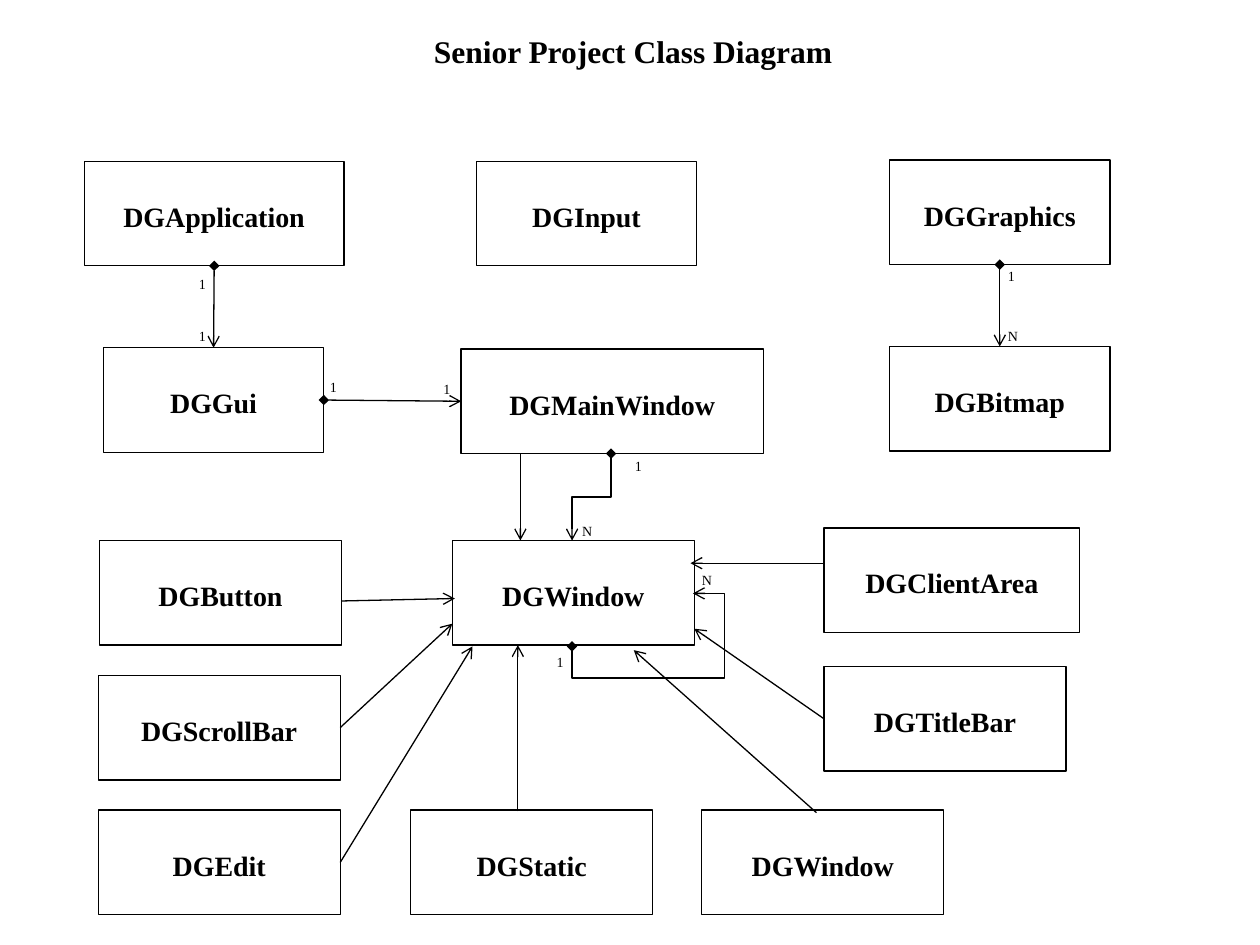
import dataclasses

import pptx
import pptx.dml.color
import pptx.enum.shapes
import pptx.enum.text
import pptx.oxml
import pptx.oxml.ns
import pptx.util
from lxml import etree
from pptx.util import Inches


@dataclasses.dataclass
class Theme:
    font: str = "Times New Roman"
    ink: pptx.dml.color.RGBColor = pptx.dml.color.RGBColor(0, 0, 0)
    paper: pptx.dml.color.RGBColor = pptx.dml.color.RGBColor(255, 255, 255)
    title: pptx.util.Pt = pptx.util.Pt(18)
    name: pptx.util.Pt = pptx.util.Pt(16)
    count: pptx.util.Pt = pptx.util.Pt(8)
    line: pptx.util.Pt = pptx.util.Pt(0.75)


theme = Theme()
qn = pptx.oxml.ns.qn
CONNECTOR = pptx.enum.shapes.MSO_CONNECTOR
ANCHOR = pptx.enum.text.MSO_ANCHOR


def write(tf, text, size, bold, wrap):
    tf.word_wrap = wrap
    tf.vertical_anchor = ANCHOR.MIDDLE
    p = tf.paragraphs[0]
    p.alignment = pptx.enum.text.PP_ALIGN.CENTER
    r = p.add_run()
    r.text = text
    r.font.name = theme.font
    r.font.size = size
    r.font.bold = bold
    r.font.color.rgb = theme.ink


def connect(kind, x1, y1, x2, y2, diamond=False):
    c = s.shapes.add_connector(kind, Inches(x1), Inches(y1), Inches(x2), Inches(y2))
    c.line.color.rgb = theme.ink
    c.line.width = theme.line
    spPr = c.element.spPr
    ln = spPr.find(qn("a:ln"))
    if diamond:
        etree.SubElement(ln, qn("a:headEnd"), type="diamond")
    etree.SubElement(ln, qn("a:tailEnd"), type="arrow")
    etree.SubElement(spPr, qn("a:effectLst"))
    return c


prs = pptx.Presentation()
prs.slide_width = Inches(10)
prs.slide_height = Inches(7.5)
s = prs.slides.add_slide(prs.slide_layouts[5])

title = s.shapes.title
title.left, title.top = Inches(3.31), Inches(0.2)
title.width, title.height = Inches(3.43), Inches(0.4)
write(title.text_frame, "Senior Project Class Diagram", theme.title, True, False)

box_height = 0.83
boxes = [
    ("application", "DGApplication", 0.67, 1.28, 2.06),
    ("input", "DGInput", 3.78, 1.28, 1.75),
    ("graphics", "DGGraphics", 7.06, 1.27, 1.75),
    ("gui", "DGGui", 0.82, 2.76, 1.75),
    ("main", "DGMainWindow", 3.66, 2.77, 2.4),
    ("bitmap", "DGBitmap", 7.06, 2.75, 1.75),
    ("window", "DGWindow", 3.59, 4.29, 1.92),
    ("button", "DGButton", 0.79, 4.29, 1.92),
    ("scroll", "DGScrollBar", 0.78, 5.36, 1.92),
    ("edit", "DGEdit", 0.78, 6.43, 1.92),
    ("static", "DGStatic", 3.26, 6.43, 1.92),
    ("child", "DGWindow", 5.57, 6.43, 1.92),
    ("titlebar", "DGTitleBar", 6.54, 5.29, 1.92),
    ("client", "DGClientArea", 6.54, 4.19, 2.03),
]
classes = {}
for key, name, x, y, w in boxes:
    sp = s.shapes.add_shape(
        pptx.enum.shapes.MSO_SHAPE.FLOWCHART_PROCESS,
        Inches(x), Inches(y), Inches(w), Inches(box_height),
    )
    sp.shadow.inherit = False
    sp.fill.solid()
    sp.fill.fore_color.rgb = theme.paper
    sp.line.color.rgb = theme.ink
    sp.line.width = theme.line
    tf = sp.text_frame
    tf.margin_top, tf.margin_bottom = Inches(0.09), Inches(0.05)
    write(tf, name, theme.name, True, True)
    classes[key] = sp

compositions = [
    ("application", 2, "gui", 0, (1.7, 2.11, 1.7, 2.76)),
    ("gui", 3, "main", 1, (2.57, 3.18, 3.66, 3.18)),
    ("graphics", 2, "bitmap", 0, (7.93, 2.1, 7.93, 2.75)),
]
for owner, start, part, end, points in compositions:
    c = connect(CONNECTOR.STRAIGHT, *points, diamond=True)
    c.begin_connect(classes[owner], start)
    c.end_connect(classes[part], end)

inheritances = [
    ("main", None, (4.13, 3.6, 4.13, 4.29)),
    ("button", None, (2.71, 4.77, 3.61, 4.75)),
    ("scroll", 3, (2.7, 5.82, 3.59, 4.95)),
    ("edit", 3, (2.69, 6.82, 3.75, 5.13)),
    ("static", None, (4.11, 6.44, 4.11, 5.12)),
    ("child", None, (6.48, 6.45, 5.03, 5.16)),
    ("titlebar", 1, (6.52, 5.69, 5.51, 4.99)),
    ("client", None, (6.53, 4.47, 5.48, 4.47)),
]
for child, side, points in inheritances:
    c = connect(CONNECTOR.STRAIGHT, *points)
    if side is not None:
        c.begin_connect(classes[child], side)

elbows = [
    ("bentConnector3", (4.35, 3.79, 5.04, 4.1), [50000]),
    ("bentConnector4", (5.23, 5.4, 4.81, 4.44), [-60000, 126100]),
]
for preset, points, adjusts in elbows:
    c = connect(CONNECTOR.ELBOW, *points, diamond=True)
    spPr = c.element.spPr
    spPr.find(qn("a:xfrm")).set("rot", "5400000")
    geom = spPr.find(qn("a:prstGeom"))
    geom.set("prst", preset)
    for i, value in enumerate(adjusts, 1):
        etree.SubElement(geom.find(qn("a:avLst")), qn("a:gd"), name=f"adj{i}", fmla=f"val {value}")

counts = [
    ("1", 1.48, 2.13), ("1", 1.48, 2.55), ("1", 2.52, 2.95), ("1", 3.42, 2.97),
    ("1", 7.9, 2.07), ("N", 7.9, 2.55), ("1", 4.94, 3.58), ("N", 4.52, 4.09),
    ("1", 4.32, 5.13), ("N", 5.47, 4.48),
]
count_widths = {"1": 0.25, "N": 0.28}
for text, x, y in counts:
    tb = s.shapes.add_textbox(Inches(x), Inches(y), Inches(count_widths[text]), Inches(0.24))
    write(tb.text_frame, text, theme.count, False, False)

prs.save("out.pptx")
